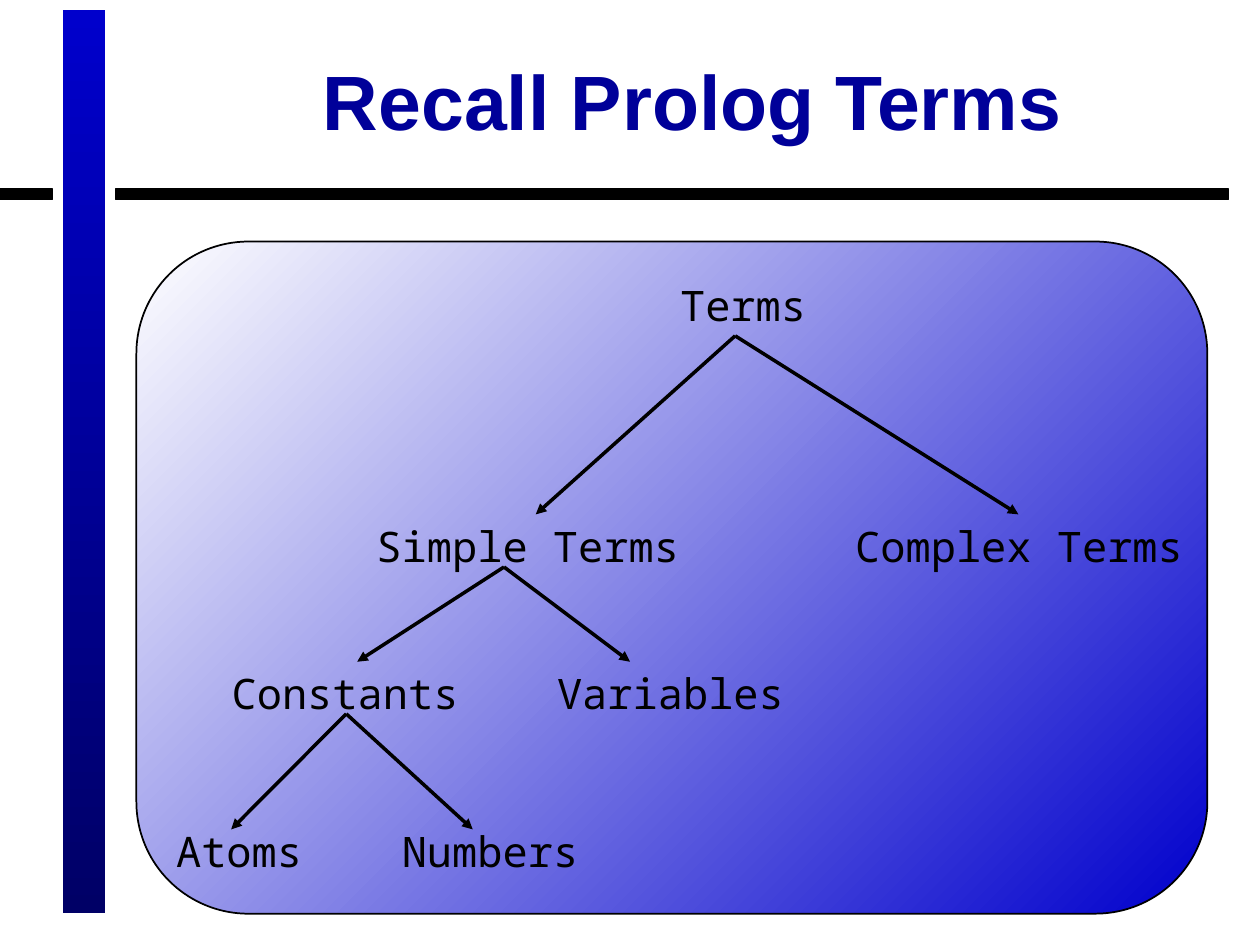
from dataclasses import dataclass

from lxml import etree
from pptx import Presentation
from pptx import util as u
from pptx.dml.color import RGBColor
from pptx.enum import shapes, text
from pptx.oxml.ns import qn

COLORS = {
    "ink": "000000",
    "paper": "FFFFFF",
    "title": "000099",
    "blue": "0000CC",
    "navy": "000066",
}
CHAR_WIDTH = 0.51  # one monospaced 24 pt character, in cm


@dataclass(frozen=True)
class Area:
    left: float
    top: float
    width: float
    height: float


@dataclass(frozen=True)
class Term:
    name: str
    left: float
    top: float


@dataclass(frozen=True)
class Branch:
    """Arrows that fan out from one point to tips on the same level."""
    start: tuple[float, float]
    tip_lefts: tuple[float, ...]
    tip_top: float


RULES = [Area(2.33, 3.81, 22.43, 0.21), Area(0, 3.81, 1.06, 0.21)]
TERMS = [
    Term("Terms", 13.46, 5.5),
    Term("Simple Terms", 7.34, 10.37),
    Term("Complex Terms", 16.99, 10.37),
    Term("Constants", 4.42, 13.34),
    Term("Variables", 10.98, 13.34),
    Term("Atoms", 3.3, 16.51),
    Term("Numbers", 7.85, 16.51),
]
BRANCHES = [
    Branch((14.82, 6.77), (10.8, 20.53), 10.37),
    Branch((10.16, 11.43), (7.2, 12.7), 13.34),
    Branch((6.98, 14.39), (4.66, 9.53), 16.72),
]


def rgb(name: str) -> RGBColor:
    return RGBColor.from_string(COLORS[name])


def add_block(slide, area: Area, kind=shapes.MSO_SHAPE.RECTANGLE, fill: str = "",
              line: str = "", line_width: float = 0.75):
    block = slide.shapes.add_shape(kind, u.Cm(area.left), u.Cm(area.top),
                                   u.Cm(area.width), u.Cm(area.height))
    block.shadow.inherit = False
    if fill:
        block.fill.solid()
        block.fill.fore_color.rgb = rgb(fill)
    if line:
        block.line.color.rgb = rgb(line)
        block.line.width = u.Pt(line_width)
    else:
        block.line.fill.background()
    return block


def set_gradient(block, first: str, last: str, angle: float) -> None:
    block.fill.gradient()
    block.fill.gradient_angle = angle
    for stop, name, position in zip(block.fill.gradient_stops, (first, last), (0, 1)):
        stop.color.rgb = rgb(name)
        stop.position = position


def set_font(para, face: str, size: float, color: str, bold: bool = False) -> None:
    para.font.name = face
    para.font.size = u.Pt(size)
    para.font.bold = bold
    para.font.color.rgb = rgb(color)


def add_term(slide, term: Term) -> None:
    width = CHAR_WIDTH * (len(term.name) + 1)
    box = slide.shapes.add_textbox(u.Cm(term.left), u.Cm(term.top), u.Cm(width), u.Cm(1.27))
    box.text_frame.word_wrap = False
    box.text_frame.auto_size = text.MSO_AUTO_SIZE.SHAPE_TO_FIT_TEXT
    para = box.text_frame.paragraphs[0]
    para.text = term.name
    para.space_before = u.Pt(6)
    set_font(para, "Noto Sans Mono", 24, "ink")


def add_branch(slide, branch: Branch) -> None:
    for tip_left in branch.tip_lefts:
        arrow = slide.shapes.add_connector(
            shapes.MSO_CONNECTOR.STRAIGHT, *map(u.Cm, branch.start),
            u.Cm(tip_left), u.Cm(branch.tip_top))
        arrow.line.color.rgb = rgb("ink")
        arrow.line.width = u.Pt(2)
        etree.SubElement(arrow.line._get_or_add_ln(), qn("a:tailEnd"), type="triangle")
        etree.SubElement(arrow._element.spPr, qn("a:effectLst"))


def add_title(slide, title: str) -> None:
    block = add_block(slide, Area(2.75, 0.42, 22.43, 3.18), fill="paper", line="paper")
    block.text_frame.word_wrap = True
    block.text_frame.vertical_anchor = text.MSO_ANCHOR.MIDDLE
    para = block.text_frame.paragraphs[0]
    para.text = title
    para.alignment = text.PP_ALIGN.CENTER
    set_font(para, "Arial", 44, "title", bold=True)


def main() -> None:
    deck = Presentation()
    deck.slide_width, deck.slide_height = u.Cm(25.4), u.Cm(19.05)
    slide = deck.slides.add_slide(deck.slide_layouts[6])

    # Side bar and the rule it interrupts
    side_bar = add_block(slide, Area(1.27, 0.21, 1.06 * 0.8, 18.2))
    set_gradient(side_bar, "blue", "navy", 270)
    for rule in RULES:
        add_block(slide, rule, fill="ink", line="ink")

    # Panel behind the tree
    panel = add_block(slide, Area(2.75, 4.87, 21.59, 13.55),
                      shapes.MSO_SHAPE.ROUNDED_RECTANGLE, line="ink", line_width=1)
    set_gradient(panel, "blue", "paper", 135)

    # Tree of terms
    for term in TERMS:
        add_term(slide, term)
    for branch in BRANCHES:
        add_branch(slide, branch)

    add_title(slide, "Recall Prolog Terms")
    deck.save("out.pptx")


if __name__ == "__main__":
    main()
